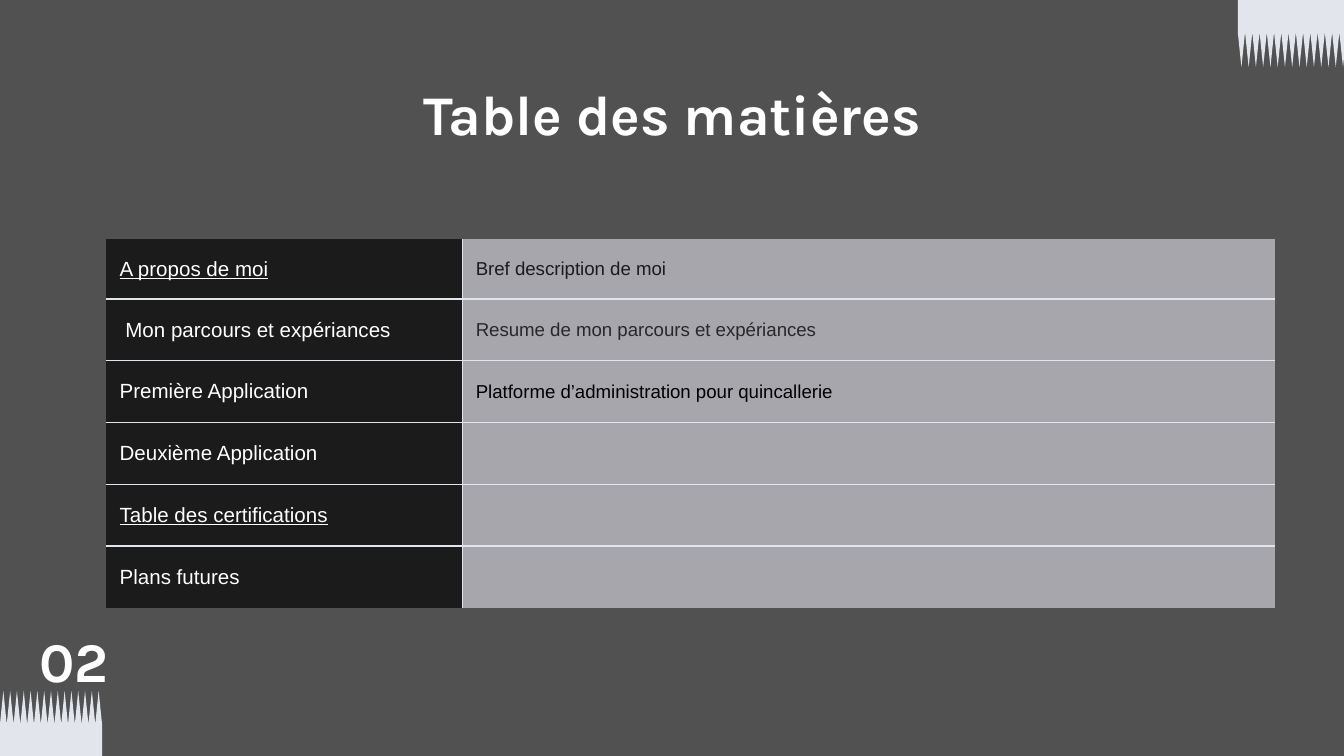
from lxml.etree import SubElement
from pptx import Presentation
from pptx.dml.color import RGBColor
from pptx.enum.text import MSO_ANCHOR, PP_ALIGN
from pptx.oxml.ns import qn
from pptx.util import Pt

TITLE = "Table des matières"
PAGE_NUMBER = "02"
# topic, underlined, description, description colour
TOPICS = [
    ("A propos de moi", True, "Bref description de moi", "dark"),
    (" Mon parcours et expériances", False, "Resume de mon parcours et expériances", "soft"),
    ("Première Application", False, "Platforme d’administration pour quincallerie", "black"),
    ("Deuxième Application", False, "", "black"),
    ("Table des certifications", True, "", "black"),
    ("Plans futures", False, "", "black"),
]
COLORS = {
    "background": "515151", "pale": "E3E5EC", "white": "FFFFFF", "dark": "1B1B1B",
    "soft": "282828", "black": "000000", "gray": "A8A6AD",
}
# left, width, outer edge, tooth base, tooth tip
COMBS = [(663.1, 58.3, -0.7, 17.3, 36), (0, 54.7, 405, 388.1, 370.1)]
TEETH = 15
COLUMN_WIDTHS = [190.8, 435.6]
ROW_HEIGHTS = [32] + [33.1] * (len(TOPICS) - 1)


def color(name):
    return RGBColor.from_string(COLORS[name])


def style(paragraph, font_name, size, color_name, bold=False, underline=False):
    for run in paragraph.runs:
        font = run.font
        font.name, font.size = font_name, Pt(size)
        font.bold, font.underline = bold, underline
        font.color.rgb = color(color_name)


def set_heading(shape, text, anchor):
    frame = shape.text_frame
    frame.text = text
    frame.word_wrap = True
    frame.vertical_anchor = anchor
    frame.margin_left = frame.margin_right = Pt(7.2)
    frame.margin_top = frame.margin_bottom = Pt(7.2)
    paragraph = frame.paragraphs[0]
    paragraph.alignment = PP_ALIGN.CENTER
    style(paragraph, "Karla", 30, "white", bold=True)


def draw_comb(slide, left, width, edge, base, tip):
    pitch = width / TEETH
    points = []
    for tooth in range(TEETH):
        points += [(left + (tooth + 0.5) * pitch, tip), (left + (tooth + 1) * pitch, base)]
    points += [(left + width, edge), (left, edge)]
    builder = slide.shapes.build_freeform(Pt(left), Pt(base))
    builder.add_line_segments([(Pt(x), Pt(y)) for x, y in points])
    comb = builder.convert_to_shape()
    comb.shadow.inherit = False
    comb.fill.solid()
    comb.fill.fore_color.rgb = color("pale")
    comb.line.fill.background()


def set_borders(cell, visible):
    properties = cell._tc.get_or_add_tcPr()
    for position, side in enumerate("LRTB"):
        line = SubElement(properties, qn(f"a:ln{side}"), w=str(Pt(0.75)))
        if side in visible:
            fill = SubElement(line, qn("a:solidFill"))
            SubElement(fill, qn("a:srgbClr"), val=COLORS["pale"])
        else:
            SubElement(line, qn("a:noFill"))
        properties.insert(position, line)


def fill_cell(cell, text, size, text_color, fill_color, underline=False):
    cell.fill.solid()
    cell.fill.fore_color.rgb = color(fill_color)
    cell.vertical_anchor = MSO_ANCHOR.MIDDLE
    cell.margin_left = cell.margin_right = Pt(7.2)
    cell.margin_top = cell.margin_bottom = 0
    cell.text_frame.text = text
    style(cell.text_frame.paragraphs[0], "Arial", size, text_color, underline=underline)


presentation = Presentation()
presentation.slide_width, presentation.slide_height = Pt(720), Pt(405)
slide = presentation.slides.add_slide(presentation.slide_layouts[5])
slide.background.fill.solid()
slide.background.fill.fore_color.rgb = color("background")

# Corner combs
for comb in COMBS:
    draw_comb(slide, *comb)

# Title
title = slide.shapes.title
title.left, title.top, title.width, title.height = Pt(56.9), Pt(35.3), Pt(607), Pt(45.4)
set_heading(title, TITLE, MSO_ANCHOR.TOP)

# Contents table
contents = slide.shapes.add_table(
    len(TOPICS), 2, Pt(56.9), Pt(128.2), Pt(sum(COLUMN_WIDTHS)), Pt(sum(ROW_HEIGHTS))
).table
contents.first_row = contents.horz_banding = False
for column, width in zip(contents.columns, COLUMN_WIDTHS):
    column.width = Pt(width)
for row, height in zip(contents.rows, ROW_HEIGHTS):
    row.height = Pt(height)

for index, (topic, underlined, description, description_color) in enumerate(TOPICS):
    topic_cell, description_cell = contents.cell(index, 0), contents.cell(index, 1)
    fill_cell(topic_cell, topic, 11, "white", "dark", underlined)
    fill_cell(description_cell, description, 10, description_color, "gray")
    description_cell.text_frame.paragraphs[0].space_after = Pt(16)
    # Rules run only between cells
    rules = ("T" if index > 0 else "") + ("B" if index < len(TOPICS) - 1 else "")
    set_borders(topic_cell, "R" + rules)
    set_borders(description_cell, "L" + rules)

# Page number
page_number = slide.shapes.add_textbox(Pt(5), Pt(332.6), Pt(69.1), Pt(41.8))
set_heading(page_number, PAGE_NUMBER, MSO_ANCHOR.MIDDLE)

presentation.save("out.pptx")
